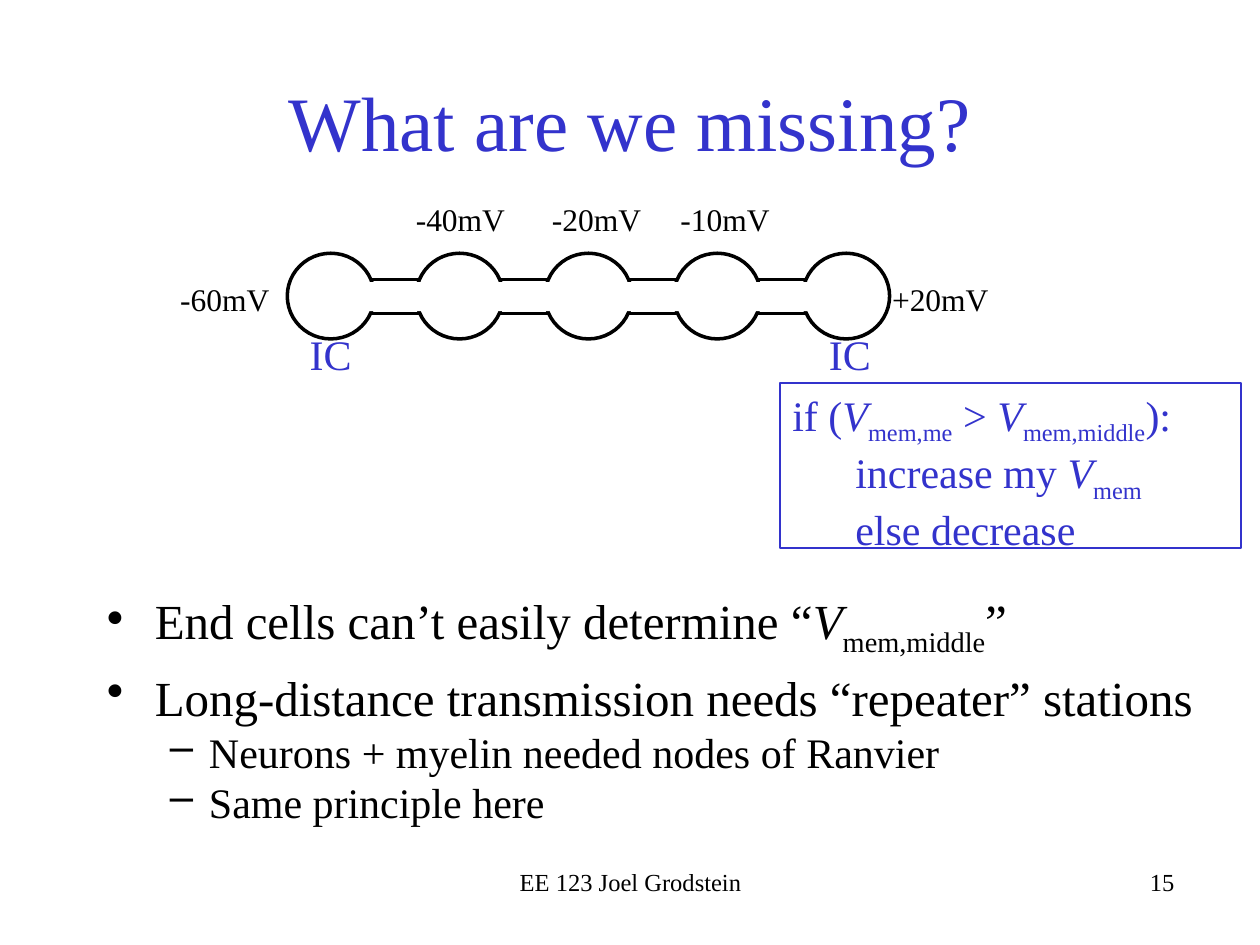
from pptx import Presentation
from pptx.dml.color import RGBColor
from pptx.enum.shapes import MSO_SHAPE
from pptx.enum.text import MSO_ANCHOR, PP_ALIGN
from pptx.oxml.xmlchemy import OxmlElement
from pptx.util import Inches, Pt

BLACK = RGBColor(0x00, 0x00, 0x00)
WHITE = RGBColor(0xFF, 0xFF, 0xFF)
BLUE = RGBColor(0x33, 0x33, 0xCC)
FONT = "Times New Roman"

# A paragraph is a list of runs: plain text, or (text, "italic" | "sub")
V = ("V", "italic")
MIDDLE = ("mem,middle", "sub")
BULLETS = [  # bullet, size, left margin, hanging indent, space before, runs
    ("•", 28, 0.38, 0.38, 0, ["End cells can’t easily determine “", V, MIDDLE, "”"]),
    ("•", 28, 0.38, 0.38, 5.6, ["Long-distance transmission needs “repeater” stations"]),
    ("–", 24, 0.81, 0.31, 0, ["Neurons + myelin needed nodes of Ranvier"]),
    ("–", 24, 0.81, 0.31, 0, ["Same principle here"]),
]
RULE = [  # left margin, runs
    (0, ["if (", V, ("mem,me", "sub"), " > ", V, MIDDLE, "):"]),
    (0.5, ["increase my ", V, ("mem", "sub")]),
    (0.5, ["else decrease"]),
]
VOLTAGES = [  # text, left, top, width
    ("-60mV", 1.43, 2.22, 0.72),
    ("-40mV", 3.3, 1.59, 0.72),
    ("-20mV", 4.38, 1.59, 0.72),
    ("-10mV", 5.4, 1.59, 0.72),
    ("+20mV", 7.08, 2.22, 0.77),
]
CELL_COUNT = 5
FIRST_CELL, LAST_CELL = 2.28, 6.37
CELL_PITCH = (LAST_CELL - FIRST_CELL) / (CELL_COUNT - 1)


def add_paragraph(tf, runs, size, color=BLACK, align=PP_ALIGN.LEFT,
                  margin=0, hanging=0, bullet=None, before=0):
    p = tf.paragraphs[0]
    if p.runs:
        p = tf.add_paragraph()
    pPr = p._p.get_or_add_pPr()
    pPr.set("marL", str(Inches(margin)))
    pPr.set("indent", str(-Inches(hanging)))
    if bullet:
        bu = OxmlElement("a:buChar")
        bu.set("char", bullet)
        pPr.append(bu)
    p.alignment = align
    p.space_before = Pt(before)
    for run in runs:
        text, style = (run, None) if isinstance(run, str) else run
        r = p.add_run()
        r.text = text
        r.font.name, r.font.size = FONT, Pt(size)
        r.font.color.rgb = color
        r.font.italic = style == "italic"
        if style == "sub":
            r.font._element.set("baseline", "-25000")


def add_box(s, at, anchor=MSO_ANCHOR.TOP, wrap=True, inset=True):
    tf = s.shapes.add_textbox(*map(Inches, at)).text_frame
    tf.word_wrap = wrap
    tf.vertical_anchor = anchor
    if not inset:
        tf.margin_left = tf.margin_right = tf.margin_top = tf.margin_bottom = 0
    return tf


def add_shape(s, kind, at, fill=WHITE, line=BLACK, width=2):
    sp = s.shapes.add_shape(kind, *map(Inches, at))
    sp.shadow.inherit = False
    if fill is None:
        sp.fill.background()
    else:
        sp.fill.solid()
        sp.fill.fore_color.rgb = fill
    if line is None:
        sp.line.fill.background()
    else:
        sp.line.color.rgb = line
        sp.line.width = Pt(width)
    return sp


def main():
    prs = Presentation()
    prs.slide_width, prs.slide_height = Inches(10), Inches(7.5)
    s = prs.slides.add_slide(prs.slide_layouts[6])

    tf = add_box(s, (0.75, 0.33, 8.5, 1.25), MSO_ANCHOR.MIDDLE)
    add_paragraph(tf, ["What are we missing?"], 44, BLUE, PP_ALIGN.CENTER)

    tf = add_box(s, (0.75, 4.64, 8.91, 2.03))
    for bullet, size, margin, hanging, before, runs in BULLETS:
        add_paragraph(tf, runs, size, margin=margin, hanging=hanging,
                      bullet=bullet, before=before)

    # The outlined bar joins the cells; the white one opens their walls
    add_shape(s, MSO_SHAPE.RECTANGLE, (2.77, 2.22, 3.98, 0.27))
    for i in range(CELL_COUNT):
        add_shape(s, MSO_SHAPE.OVAL, (FIRST_CELL + i * CELL_PITCH, 2.01, 0.69, 0.68))
    add_shape(s, MSO_SHAPE.RECTANGLE, (2.73, 2.24, 4.05, 0.23), line=None)

    for text, left, top, width in VOLTAGES:
        tf = add_box(s, (left, top, width, 0.3), MSO_ANCHOR.MIDDLE, wrap=False, inset=False)
        add_paragraph(tf, [text], 18)
    for left in (2.36, 6.48):
        add_paragraph(add_box(s, (left, 2.56, 0.61, 0.5)), ["IC"], 24, BLUE)

    sp = add_shape(s, MSO_SHAPE.RECTANGLE, (6.19, 3.04, 3.66, 1.31),
                   fill=None, line=BLUE, width=0.75)
    sp.text_frame.vertical_anchor = MSO_ANCHOR.TOP
    for margin, runs in RULE:
        add_paragraph(sp.text_frame, runs, 24, BLUE, margin=margin)

    tf = add_box(s, (3.42, 6.83, 3.17, 0.34))
    add_paragraph(tf, ["EE 123 Joel Grodstein"], 14, align=PP_ALIGN.CENTER)
    tf = add_box(s, (6.25, 6.83, 3.17, 0.5))
    add_paragraph(tf, ["15"], 14, align=PP_ALIGN.RIGHT)

    prs.save("out.pptx")


if __name__ == "__main__":
    main()
